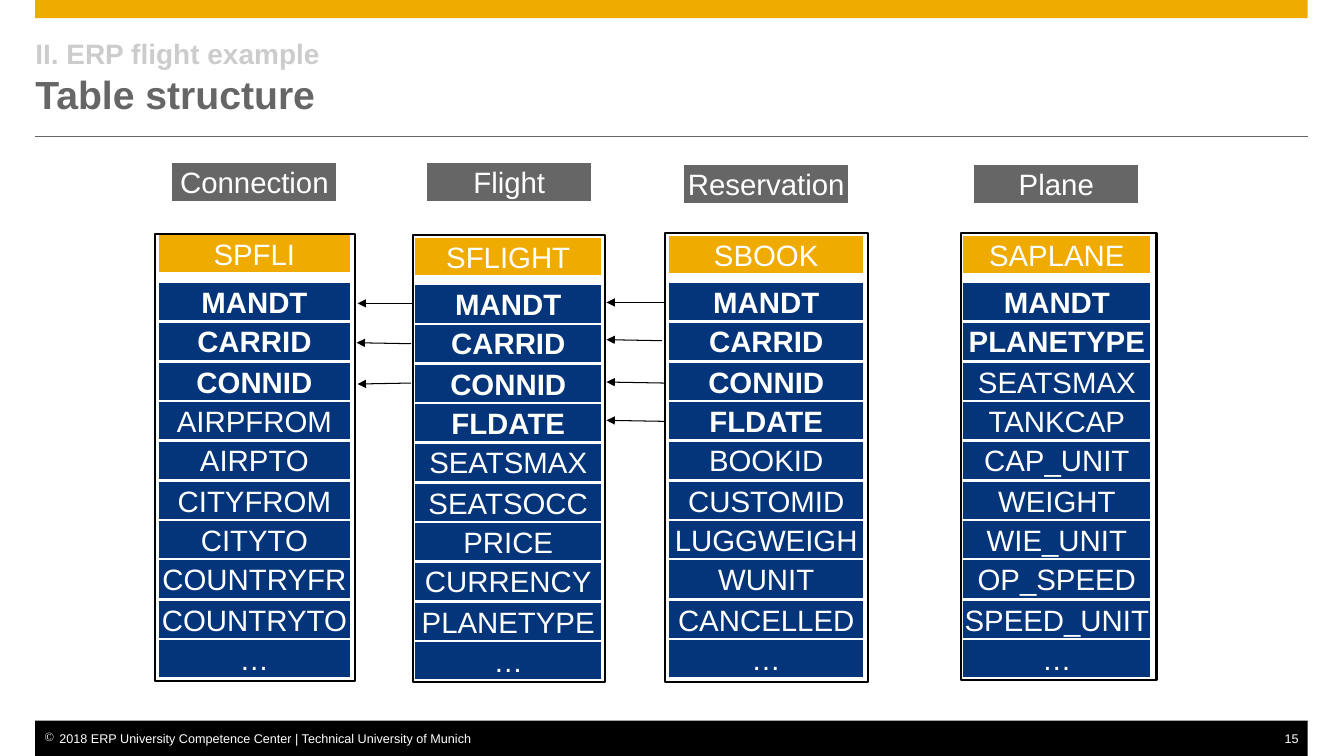
"""Build the slide on the table structure of the flight example."""
import lxml.etree
import pptx
import pptx.dml.color
import pptx.enum.shapes
import pptx.enum.text
import pptx.oxml.ns
import pptx.util

PX = 9144
WHITE, BLACK, GREY, GOLD, NAVY = "FFFFFF", "000000", "666666", "F0AB00", "04357B"
ALIGN = pptx.enum.text.PP_ALIGN
FRAME_FORMAT = {
    "margin_left": 0, "margin_right": 0, "margin_top": 0, "margin_bottom": 0,
    "auto_size": pptx.enum.text.MSO_AUTO_SIZE.NONE, "word_wrap": False,
    "vertical_anchor": pptx.enum.text.MSO_ANCHOR.MIDDLE,
}
ROW_SPAN, ROW_COUNT, ROW_HEIGHT = 354, 10, 39

TABLES = [
    {"entity": "Connection", "label": (170, 161), "name": "SPFLI", "left": 157, "width": 191,
     "top": 232, "first_row": 280, "border": (154, 232, 198, 444), "keys": 3,
     "fields": "MANDT CARRID CONNID AIRPFROM AIRPTO CITYFROM CITYTO COUNTRYFR COUNTRYTO …"},
    {"entity": "Flight", "label": (423, 161), "name": "SFLIGHT", "left": 411, "width": 187,
     "top": 235, "first_row": 282, "border": (410, 233, 191, 444), "keys": 4,
     "fields": "MANDT CARRID CONNID FLDATE SEATSMAX SEATSOCC PRICE CURRENCY PLANETYPE …"},
    {"entity": "Reservation", "label": (678, 163), "name": "SBOOK", "left": 663, "width": 195,
     "top": 233, "first_row": 280, "border": (660, 231, 202, 446), "keys": 4,
     "fields": "MANDT CARRID CONNID FLDATE BOOKID CUSTOMID LUGGWEIGH WUNIT CANCELLED …"},
    {"entity": "Plane", "label": (966, 163), "name": "SAPLANE", "left": 955, "width": 188,
     "top": 233, "first_row": 280, "border": (954, 231, 194, 444), "keys": 2,
     "fields": "MANDT PLANETYPE SEATSMAX TANKCAP CAP_UNIT WEIGHT WIE_UNIT OP_SPEED SPEED_UNIT …"},
]

KEY_LINKS = [
    (410, 301, 355, 301), (408, 341, 354, 340), (408, 380, 355, 381),
    (659, 300, 602, 300), (657, 338, 602, 337), (659, 380, 602, 379), (659, 418, 602, 417),
]


def color(hex_code):
    """Return the colour for a hex string."""
    return pptx.dml.color.RGBColor.from_string(hex_code)


def emu(*lengths):
    """Turn px lengths into EMU."""
    return [length * PX for length in lengths]


def set_format(target, values):
    """Set each attribute named in a dict of format values."""
    for attribute, value in values.items():
        setattr(target, attribute, value)


def write(paragraph, words, size, hue, bold=False):
    """Append one formatted run to a paragraph."""
    run = paragraph.add_run()
    run.text = words
    set_format(run.font, {"name": "Arial", "size": pptx.util.Pt(size), "bold": bold})
    run.font.color.rgb = color(hue)


def add_box(slide, place, fill=None, outline=None):
    """Add a rectangle with an optional fill and outline."""
    box = slide.shapes.add_shape(pptx.enum.shapes.MSO_SHAPE.RECTANGLE, *emu(*place))
    box.shadow.inherit = False
    if fill:
        box.fill.solid()
        box.fill.fore_color.rgb = color(fill)
    else:
        box.fill.background()
    if outline:
        box.line.color.rgb = color(outline)
        box.line.width = pptx.util.Pt(1.5)
    else:
        box.line.fill.background()
    return box


def add_cell(slide, place, words, fill, bold=False):
    """Add a filled rectangle with centred white text."""
    cell = add_box(slide, place, fill, WHITE)
    set_format(cell.text_frame, FRAME_FORMAT)
    paragraph = cell.text_frame.paragraphs[0]
    paragraph.alignment = ALIGN.CENTER
    write(paragraph, words, 21, WHITE, bold)


def add_line(slide, ends, hue, weight, arrow=False):
    """Add a straight line, with an arrowhead at its end if wanted."""
    line = slide.shapes.add_connector(pptx.enum.shapes.MSO_CONNECTOR.STRAIGHT, *emu(*ends))
    line.line.color.rgb = color(hue)
    line.line.width = pptx.util.Pt(weight)
    if arrow:
        lxml.etree.SubElement(line.line._ln, pptx.oxml.ns.qn("a:tailEnd"), type="triangle")
    lxml.etree.SubElement(line._element.spPr, pptx.oxml.ns.qn("a:effectLst"))


def add_footer_text(slide, place, words, margins, alignment, bullet=None):
    """Add a line of footer text, with a bullet sign if given."""
    footer = slide.shapes.add_textbox(*emu(*place))
    set_format(footer.text_frame, {**FRAME_FORMAT, **margins})
    paragraph = footer.text_frame.paragraphs[0]
    paragraph.alignment = alignment
    if bullet:
        properties = paragraph._p.get_or_add_pPr()
        set_indent = {"marL": str(15 * PX), "indent": str(-15 * PX)}
        properties.attrib.update(set_indent)
        bullet_color = lxml.etree.SubElement(properties, pptx.oxml.ns.qn("a:buClr"))
        lxml.etree.SubElement(bullet_color, pptx.oxml.ns.qn("a:srgbClr"), val=WHITE)
        lxml.etree.SubElement(properties, pptx.oxml.ns.qn("a:buChar"), char=bullet)
    write(paragraph, words, 9, WHITE)


def add_title(slide):
    """Fill the title placeholder with the chapter and the heading."""
    title = slide.shapes.title
    set_format(title, dict(zip(("left", "top", "width", "height"), emu(35, 35, 1263, 83))))
    set_format(title.text_frame, {**FRAME_FORMAT, "word_wrap": True})
    paragraph = title.text_frame.paragraphs[0]
    paragraph.alignment = ALIGN.LEFT
    write(paragraph, "II. ERP flight example", 20, "CCCCCC", True)
    paragraph.add_line_break()
    line_break = paragraph._p.find(pptx.oxml.ns.qn("a:br"))
    lxml.etree.SubElement(line_break, pptx.oxml.ns.qn("a:rPr"), sz="2000")
    write(paragraph, "Table structure", 28, GREY, True)


def add_table_column(slide, table):
    """Add the entity label, the table name and its fields, keys in bold."""
    add_cell(slide, (*table["label"], 165, 39), table["entity"], GREY)
    left, width = table["left"], table["width"]
    add_cell(slide, (left, table["top"], width, ROW_HEIGHT), table["name"], GOLD)
    for row, field in enumerate(table["fields"].split()):
        top = table["first_row"] + round(row * ROW_SPAN / (ROW_COUNT - 1))
        add_cell(slide, (left, top, width, ROW_HEIGHT), field, NAVY, row < table["keys"])


def main():
    """Build and save the slide."""
    deck = pptx.Presentation()
    deck.slide_width, deck.slide_height = emu(1334, 750)
    slide = deck.slides.add_slide(deck.slide_layouts[5])
    add_box(slide, (35, 0, 1263, 18), GOLD)
    add_line(slide, (35, 135, 1298, 135), GREY, 0.5)
    add_box(slide, (35, 715, 1263, 35), BLACK)
    add_footer_text(slide, (35, 725, 438, 15),
                    "2018 ERP University Competence Center | Technical University of Munich",
                    {"margin_left": 9 * PX}, ALIGN.LEFT, "©")
    add_footer_text(slide, (1273, 725, 25, 15), "15", {"margin_right": 9 * PX}, ALIGN.RIGHT)
    add_title(slide)
    for table in TABLES:
        add_table_column(slide, table)
    for ends in KEY_LINKS:
        add_line(slide, ends, BLACK, 0.75, arrow=True)
    for table in TABLES:
        add_box(slide, table["border"], outline=BLACK)
    deck.save("out.pptx")


if __name__ == "__main__":
    main()
